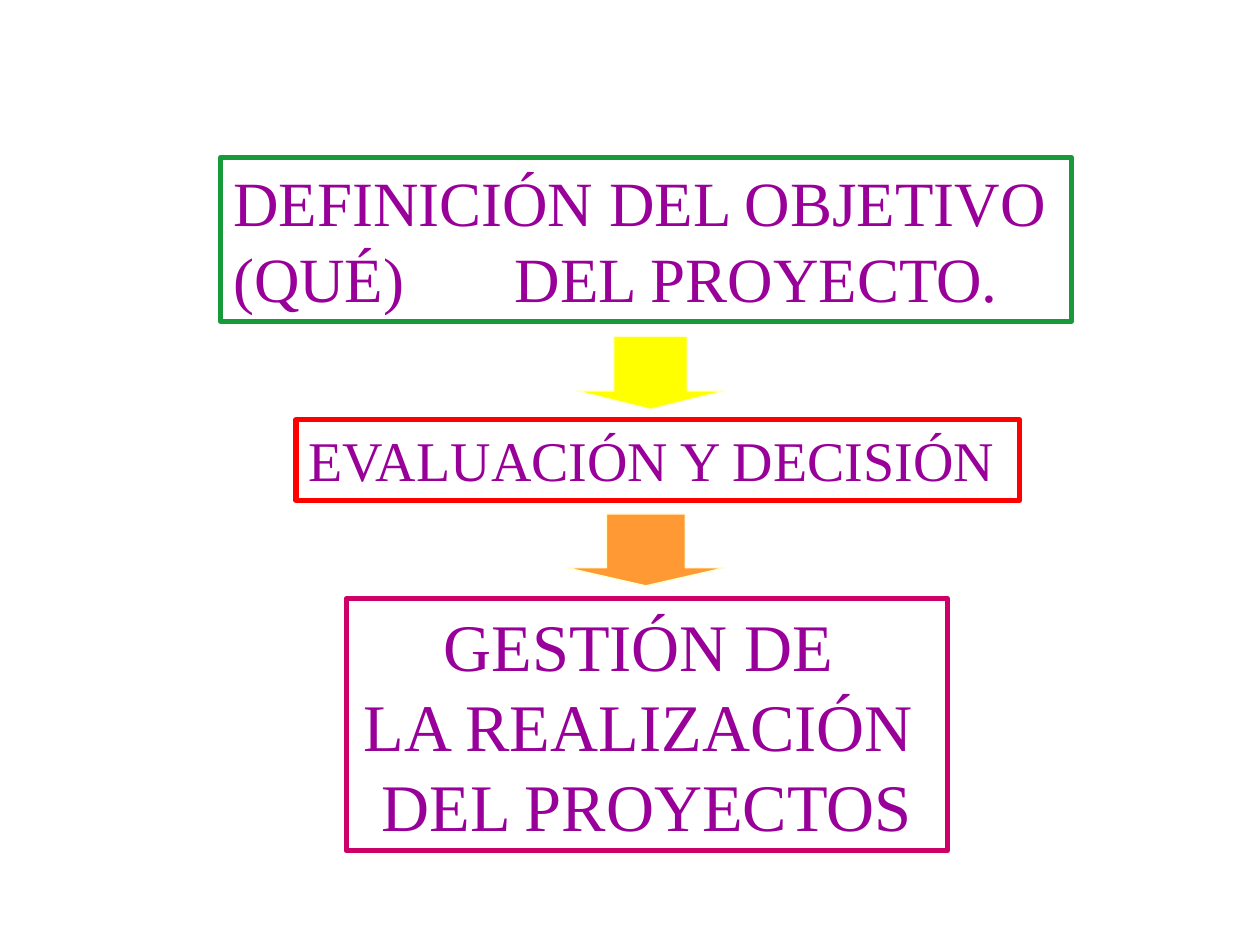
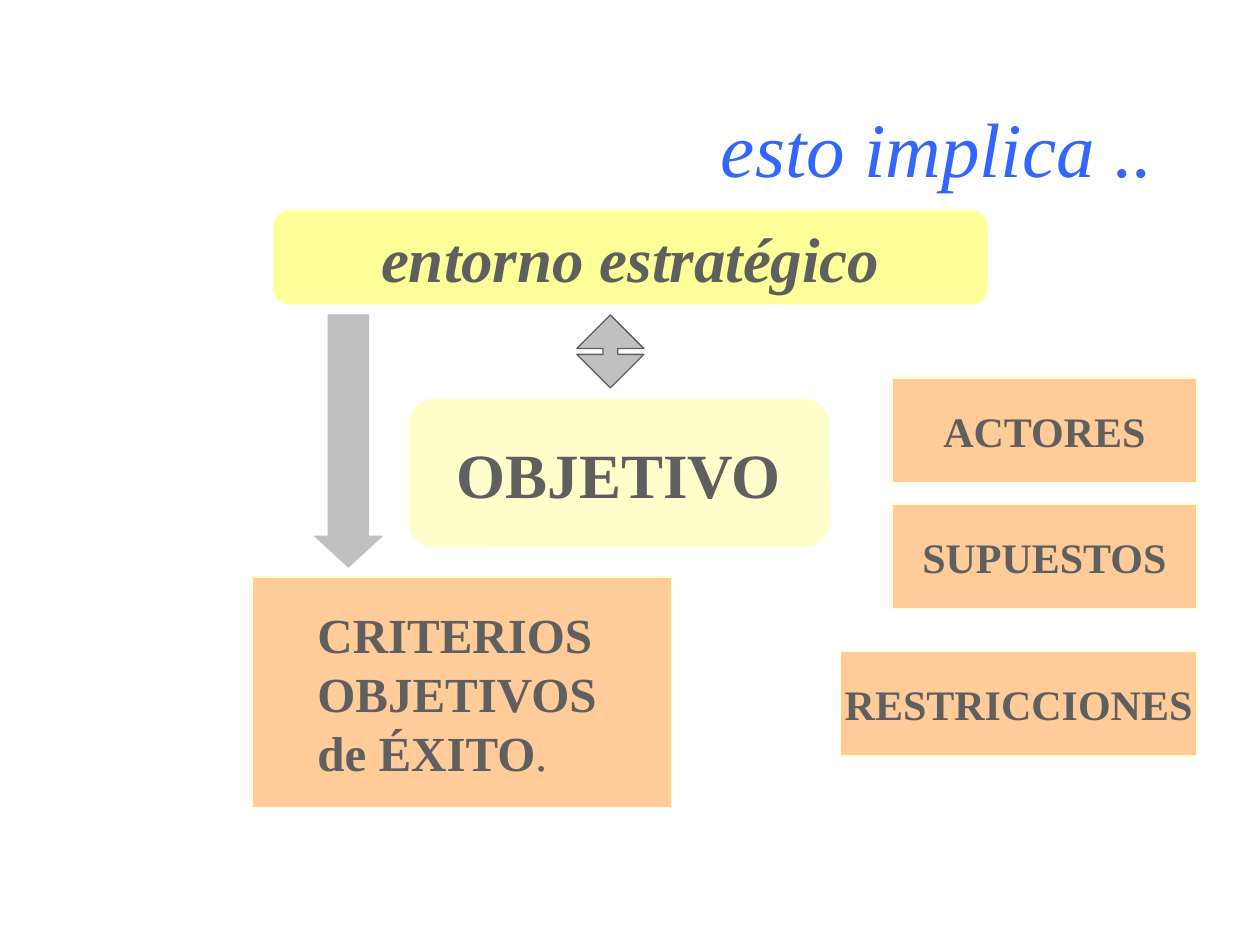
from dataclasses import dataclass

from lxml import etree
from pptx import Presentation
from pptx.dml.color import RGBColor
from pptx.enum.shapes import MSO_SHAPE
from pptx.enum.text import MSO_ANCHOR, PP_ALIGN
from pptx.oxml.ns import qn
from pptx.util import Cm, Pt


@dataclass(frozen=True)
class Theme:
    font: str = "Times New Roman"
    purple: str = "990099"
    blue: str = "3366FF"
    dark: str = "5F5F5F"
    gray: str = "C0C0C0"
    green: str = "179B3A"
    red: str = "FF0000"
    magenta: str = "CC0066"
    yellow: str = "FFFF00"
    orange: str = "FF9933"
    cream: str = "FFFFCC"
    lemon: str = "FFFF99"
    peach: str = "FFCC99"
    title: int = 44
    stage: int = 38
    heading: int = 36
    step: int = 32
    criteria: int = 28
    label: int = 24
    frame: float = 3
    outline: float = 0.75


class Deck:
    def __init__(self, theme):
        self.theme = theme
        self.prs = Presentation()
        self.prs.slide_width, self.prs.slide_height = Cm(25.4), Cm(19.05)
        self.s = None

    def new_slide(self):
        self.s = self.prs.slides.add_slide(self.prs.slide_layouts[6])

    def fill_text(self, sp, text, size, color, bold=False, italic=False,
                  align=PP_ALIGN.LEFT, anchor=MSO_ANCHOR.TOP, wrap=True):
        tf = sp.text_frame
        tf.text = text
        tf.word_wrap = wrap
        tf.vertical_anchor = anchor
        for p in tf.paragraphs:
            p.alignment = align
            for r in p.runs:
                self.style(r, size, color, bold, italic)
        return tf

    def style(self, r, size, color, bold=False, italic=False):
        r.font.name = self.theme.font
        r.font.size = Pt(size)
        r.font.bold = bold
        r.font.italic = italic
        r.font.color.rgb = RGBColor.from_string(color)

    def outline(self, sp, color, width):
        sp.line.color.rgb = RGBColor.from_string(color)
        sp.line.width = Pt(width)

    def text(self, box, text, size, color, **options):
        sp = self.s.shapes.add_textbox(*map(Cm, box))
        return self.fill_text(sp, text, size, color, **options)

    def framed_text(self, box, text, size, line, **options):
        sp = self.s.shapes.add_textbox(*map(Cm, box))
        self.outline(sp, line, self.theme.frame)
        return self.fill_text(sp, text, size, self.theme.purple, **options)

    def shape(self, kind, box, fill, line=None, adjustments=()):
        sp = self.s.shapes.add_shape(kind, *map(Cm, box))
        sp.shadow.inherit = False
        sp.fill.solid()
        sp.fill.fore_color.rgb = RGBColor.from_string(fill)
        self.outline(sp, line or self.theme.cream, self.theme.outline)
        for i, value in enumerate(adjustments):
            sp.adjustments[i] = value
        return sp

    def card(self, kind, box, fill, text, size, italic=False):
        sp = self.shape(kind, box, fill)
        self.fill_text(sp, text, size, self.theme.dark, True, italic,
                       PP_ALIGN.CENTER, MSO_ANCHOR.MIDDLE, wrap=False)

    def tab_stop(self, p, position):
        tabs = etree.SubElement(p._p.get_or_add_pPr(), qn("a:tabLst"))
        etree.SubElement(tabs, qn("a:tab"), pos=str(Cm(position)), algn="l")


def build_process(deck):
    t = deck.theme
    deck.new_slide()
    tf = deck.framed_text((4.45, 3.18, 17.15, 3.3),
                          "DEFINICIÓN DEL OBJETIVO (QUÉ)\tDEL PROYECTO.",
                          t.heading, t.green)
    deck.tab_stop(tf.paragraphs[0], 5.68)
    deck.framed_text((5.97, 8.46, 14.58, 1.63), "EVALUACIÓN Y DECISIÓN", t.step, t.red)
    deck.framed_text((6.98, 12.07, 12.12, 5.08),
                     "GESTIÓN DE \nLA REALIZACIÓN \nDEL PROYECTOS",
                     t.stage, t.magenta, align=PP_ALIGN.CENTER)
    for box, fill in (((11.63, 6.78, 2.97, 1.47), t.yellow),
                      ((11.43, 10.36, 3.18, 1.45), t.orange)):
        deck.shape(MSO_SHAPE.DOWN_ARROW, box, fill, adjustments=(0.5, 0.25))


def build_implications(deck):
    t = deck.theme
    deck.new_slide()
    deck.text((1.9, 0.84, 21.6, 3.18), "esto implica ..", t.title, t.blue,
              italic=True, align=PP_ALIGN.RIGHT, anchor=MSO_ANCHOR.BOTTOM)
    deck.card(MSO_SHAPE.ROUNDED_RECTANGLE, (8.25, 8.05, 8.46, 2.97), t.cream,
              "OBJETIVO", t.heading)
    deck.card(MSO_SHAPE.ROUNDED_RECTANGLE, (5.51, 4.24, 14.4, 1.9), t.lemon,
              "entorno estratégico", t.heading, italic=True)

    deck.shape(MSO_SHAPE.RECTANGLE, (5.08, 11.63, 8.46, 4.65), t.peach)
    tf = deck.text((6.15, 12.07, 6.4, 3.81), "CRITERIOS\nOBJETIVOS\nde ÉXITO",
                   t.criteria, t.dark, bold=True)
    r = tf.paragraphs[-1].add_run()
    r.text = "."
    deck.style(r, t.criteria, t.dark)

    deck.shape(MSO_SHAPE.UP_DOWN_ARROW, (11.63, 6.35, 1.35, 1.47), t.gray, t.dark,
               (0.5, 0.22))
    deck.shape(MSO_SHAPE.DOWN_ARROW, (6.35, 6.35, 1.35, 5.08), t.gray, t.gray,
               (0.6, 0.46))

    right = 24.13
    for name, top, width in (("ACTORES", 7.62, 6.15),
                             ("SUPUESTOS", 10.16, 6.15),
                             ("RESTRICCIONES", 13.13, 7.19)):
        deck.card(MSO_SHAPE.RECTANGLE, (right - width, top, width, 2.11), t.peach,
                  name, t.label)


def main():
    deck = Deck(Theme())
    build_process(deck)
    build_implications(deck)
    deck.prs.save("out.pptx")


if __name__ == "__main__":
    main()
